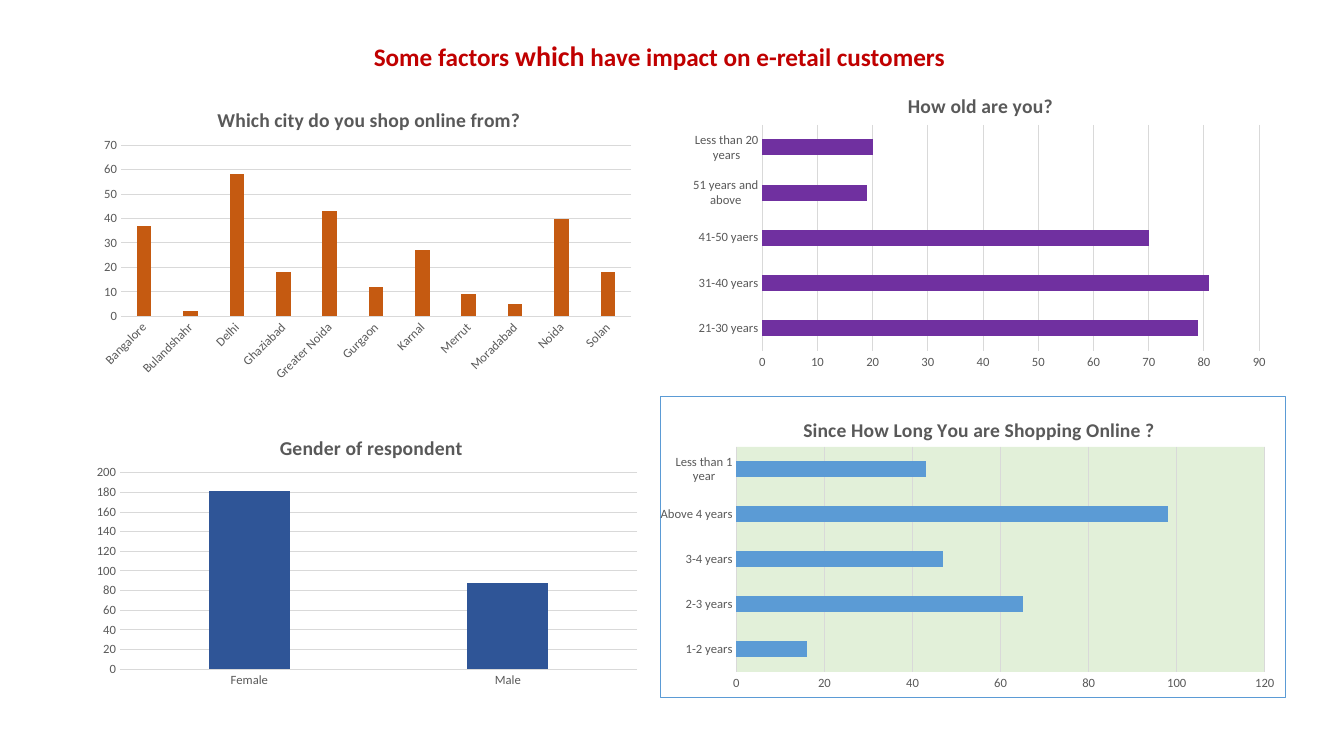
from lxml.etree import SubElement
from pptx import Presentation
from pptx.chart.data import CategoryChartData
from pptx.dml.color import RGBColor
from pptx.enum.chart import XL_CHART_TYPE, XL_TICK_MARK
from pptx.enum.text import MSO_ANCHOR, PP_ALIGN
from pptx.oxml import parse_xml
from pptx.oxml.ns import nsdecls, qn
from pptx.util import Inches, Pt

HEX = {"red": "C00000", "text": "595959", "grid": "D9D9D9", "purple": "7030A0",
       "orange": "C55A11", "navy": "2F5597", "blue": "5B9BD5", "green": "E2F0D9",
       "white": "FFFFFF"}
BAR, COL = XL_CHART_TYPE.BAR_CLUSTERED, XL_CHART_TYPE.COLUMN_CLUSTERED


def style(font, size, color, bold=False):
    for key, val in {"name": "Calibri", "size": Pt(size), "bold": bold}.items():
        setattr(font, key, val)
    font.color.rgb = RGBColor.from_string(HEX[color])


def place(part, index, spots):
    """Put a chart part at fixed fractions of its chart."""
    for old in part.findall(qn("c:layout")):
        part.remove(old)
    layout = parse_xml(f'<c:layout {nsdecls("c")}><c:manualLayout/></c:layout>')
    for tag, val in spots.items():
        SubElement(layout[0], qn(f"c:{tag}")).set("val", str(val))
    part.insert(index, layout)


prs = Presentation()
prs.slide_width, prs.slide_height = Inches(13.33), Inches(7.5)
slide = prs.slides.add_slide(prs.slide_layouts[5])

# Heading
head = slide.shapes.title
for key, val in {"left": 3.1, "top": 0.33, "width": 6.88, "height": 0.44}.items():
    setattr(head, key, Inches(val))
frame = head.text_frame
frame.vertical_anchor = MSO_ANCHOR.MIDDLE
line = frame.paragraphs[0]
line.alignment = PP_ALIGN.CENTER
for text, size in [("Some factors ", 18), ("which", 20),
                   (" have impact on e-retail customers", 18)]:
    run = line.add_run()
    run.text = text
    style(run.font, size, "red", True)

# Charts: box, plot and title spots are in inches on the slide
charts = [
    {"title": "How old are you?", "kind": BAR, "color": "purple", "fill": "white",
     "box": (6.76, 0.73, 5.91, 3), "plot": (7.56, 1.24, 4.93, 2.24),
     "spot": (8.97, 0.88), "max": 90, "step": 10, "gap": 182,
     "data": {"21-30 years": 79, "31-40 years": 81, "41-50 yaers": 70,
              "51 years and above": 19, "Less than 20 years": 20}},
    {"title": "Which city do you shop online from?", "kind": COL, "color": "orange",
     "box": (0.89, 0.85, 5.49, 3), "plot": (1.2, 1.44, 5.06, 1.7),
     "spot": (2.12, 1.02), "max": 70, "step": 10, "gap": 219, "turn": -45,
     "data": {"Bangalore": 37, "Bulandshahr": 2, "Delhi": 58, "Ghaziabad": 18,
              "Greater Noida": 43, "Gurgaon": 12, "Karnal": 27, "Merrut": 9,
              "Moradabad": 5, "Noida": 40, "Solan": 18}},
    {"title": "Gender of respondent", "kind": COL, "color": "navy",
     "box": (0.85, 4.12, 5.58, 2.76), "plot": (1.19, 4.69, 5.13, 1.95),
     "spot": (2.74, 4.27), "max": 200, "step": 20, "gap": 219,
     "data": {"Female": 181, "Male": 88}},
    {"title": "Since How Long You are Shopping Online ?", "kind": BAR,
     "color": "blue", "fill": "green", "edge": "blue",
     "box": (6.55, 3.93, 6.21, 3), "plot": (7.3, 4.43, 5.25, 2.24),
     "spot": (7.93, 4.09), "max": 120, "step": 20, "gap": 182,
     "data": {"1-2 years": 16, "2-3 years": 65, "3-4 years": 47,
              "Above 4 years": 98, "Less than 1 year": 43}},
]

for item in charts:
    data = CategoryChartData()
    data.categories = list(item["data"])
    data.add_series("Series 1", list(item["data"].values()))
    box = item["box"]
    chart = slide.shapes.add_chart(item["kind"], *map(Inches, box), data).chart
    style(chart.font, 10, "text")
    chart.has_legend = False

    # Title
    frame = chart.chart_title.text_frame
    frame.text = item["title"]
    style(frame.paragraphs[0].runs[0].font, 14, "text", True)
    chart.chart_title.include_in_layout = False

    # Bars
    plot = chart.plots[0]
    plot.vary_by_categories = False
    plot.gap_width = item["gap"]
    if item["kind"] == COL:
        plot.overlap = -27
    fill = plot.series[0].format.fill
    fill.solid()
    fill.fore_color.rgb = RGBColor.from_string(HEX[item["color"]])

    # Axes
    cat, val = chart.category_axis, chart.value_axis
    for axis in (cat, val):
        style(axis.tick_labels.font, 9, "text")
        axis.major_tick_mark = axis.minor_tick_mark = XL_TICK_MARK.NONE
    for key, num in {"minimum_scale": 0, "maximum_scale": item["max"],
                     "major_unit": item["step"], "has_major_gridlines": True}.items():
        setattr(val, key, num)
    val.format.line.fill.background()
    for rule in (cat.format.line, val.major_gridlines.format.line):
        rule.width = Pt(0.75)
        rule.color.rgb = RGBColor.from_string(HEX["grid"])
    root = chart.element
    if "turn" in item:
        body = root.find(f".//{qn('c:catAx')}/{qn('c:txPr')}/{qn('a:bodyPr')}")
        body.set("rot", str(item["turn"] * 60000))

    # Layout
    left, top, wide, high = box
    x, y, w, h = item["plot"]
    area = root.find(f".//{qn('c:plotArea')}")
    place(area, 0, {"layoutTarget": "inner", "xMode": "edge", "yMode": "edge",
                    "x": (x - left) / wide, "y": (y - top) / high,
                    "w": w / wide, "h": h / high})
    x, y = item["spot"]
    place(root.find(f".//{qn('c:title')}"), 1,
          {"xMode": "edge", "yMode": "edge",
           "x": (x - left) / wide, "y": (y - top) / high})

    # Plot fill and outer border
    paint = '<a:solidFill><a:srgbClr val="{}"/></a:solidFill>'
    wrap = f'<c:spPr {nsdecls("c", "a")}>{{}}</c:spPr>'
    if "fill" in item:
        area.append(parse_xml(wrap.format(paint.format(HEX[item["fill"]]))))
    edge = paint.format(HEX[item["edge"]]) if "edge" in item else "<a:noFill/>"
    root.find(qn("c:chart")).addnext(parse_xml(
        wrap.format(f'<a:noFill/><a:ln w="9525">{edge}</a:ln>')))

prs.save("out.pptx")
